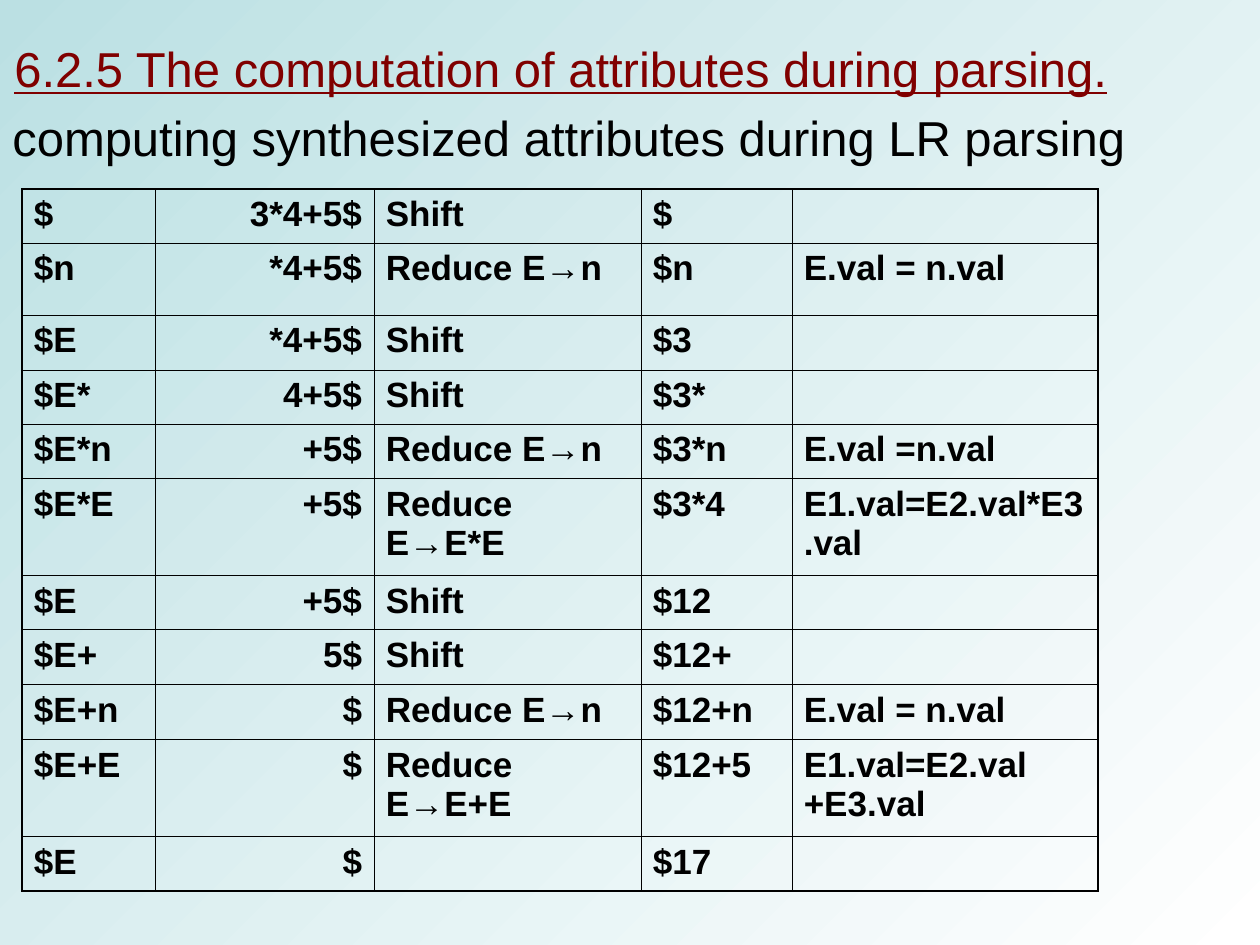
from lxml.etree import SubElement
from pptx import Presentation
from pptx.dml.color import RGBColor
from pptx.enum.text import MSO_ANCHOR, PP_ALIGN
from pptx.oxml.ns import qn
from pptx.util import Pt

SCALE = 914400 / 126
COLORS = {"sky": "BBE0E3", "white": "FFFFFF", "black": "000000", "maroon": "800000"}
HEADING_FORMAT = {"name": "Arial", "size": Pt(28)}
CELL_FORMAT = {"name": "Arial", "size": Pt(20), "bold": True}
CELL_MARGINS = {"margin_left": 12, "margin_right": 12, "margin_top": 6, "margin_bottom": 6}
THIN, THICK = Pt(0.45), Pt(1.08)
COLUMN_WIDTHS = [133, 219, 267, 151, 306]
ROW_HEIGHTS = [54, 72, 55, 54, 55, 97, 54, 55, 55, 97, 54]
PARSING_STEPS = [
    ("$", "3*4+5$", "Shift", "$", ""),
    ("$n", "*4+5$", "Reduce E→n", "$n", "E.val = n.val"),
    ("$E", "*4+5$", "Shift", "$3", ""),
    ("$E*", "4+5$", "Shift", "$3*", ""),
    ("$E*n", "+5$", "Reduce E→n", "$3*n", "E.val =n.val"),
    ("$E*E", "+5$", "Reduce E→E*E", "$3*4", "E1.val=E2.val*E3.val"),
    ("$E", "+5$", "Shift", "$12", ""),
    ("$E+", "5$", "Shift", "$12+", ""),
    ("$E+n", "$", "Reduce E→n", "$12+n", "E.val = n.val"),
    ("$E+E", "$", "Reduce E→E+E", "$12+5", "E1.val=E2.val +E3.val"),
    ("$E", "$", "", "$17", ""),
]


def px(length):
    """Turn pixels into EMU."""
    return round(length * SCALE)


def color(name):
    """Return a named colour."""
    return RGBColor.from_string(COLORS[name])


def write(paragraph, text, color_name, font_format):
    """Add one formatted run to a paragraph."""
    run = paragraph.add_run()
    run.text = text
    run.font.color.rgb = color(color_name)
    for attribute, value in font_format.items():
        setattr(run.font, attribute, value)


def paint_background(slide):
    """Fill the slide with a diagonal gradient."""
    fill = slide.background.fill
    fill.gradient()
    fill.gradient_angle = 315
    for stop, name in zip(fill.gradient_stops, ("sky", "white")):
        stop.color.rgb = color(name)


def add_heading(slide, box, text, color_name, wrap, underline):
    """Add one heading line in the given box."""
    shape = slide.shapes.add_textbox(*map(px, box))
    frame = shape.text_frame
    frame.word_wrap = wrap
    frame.vertical_anchor = MSO_ANCHOR.MIDDLE
    write(frame.paragraphs[0], text, color_name, HEADING_FORMAT | {"underline": underline})


def set_borders(cell, widths):
    """Draw the cell's left, right, top and bottom borders."""
    properties = cell._tc.get_or_add_tcPr()
    for index, (side, width) in enumerate(zip("LRTB", widths)):
        line = SubElement(properties, qn(f"a:ln{side}"), w=str(width))
        fill = SubElement(line, qn("a:solidFill"))
        SubElement(fill, qn("a:srgbClr"), val=COLORS["black"])
        properties.insert(index, line)


def fill_cell(cell, text, alignment):
    """Write one table cell on a clear ground."""
    cell.fill.background()
    for attribute, value in CELL_MARGINS.items():
        setattr(cell, attribute, px(value))
    paragraph = cell.text_frame.paragraphs[0]
    paragraph.alignment = alignment
    paragraph.space_before = Pt(5)
    if text:
        write(paragraph, text, "black", CELL_FORMAT)


def add_parsing_table(slide, left, top):
    """Add the table of parsing steps."""
    row_count, column_count = len(ROW_HEIGHTS), len(COLUMN_WIDTHS)
    box = (left, top, sum(COLUMN_WIDTHS), sum(ROW_HEIGHTS))
    table = slide.shapes.add_table(row_count, column_count, *map(px, box)).table
    table.first_row = table.horz_banding = False
    for column, width in zip(table.columns, COLUMN_WIDTHS):
        column.width = px(width)
    for row, height in zip(table.rows, ROW_HEIGHTS):
        row.height = px(height)
    for row_index, step in enumerate(PARSING_STEPS):
        for column_index, text in enumerate(step):
            cell = table.cell(row_index, column_index)
            fill_cell(cell, text, PP_ALIGN.RIGHT if column_index == 1 else PP_ALIGN.JUSTIFY)
            outer = (column_index == 0, column_index == column_count - 1,
                     row_index == 0, row_index == row_count - 1)
            set_borders(cell, [THICK if edge else THIN for edge in outer])


def main():
    """Build and save the slide."""
    presentation = Presentation()
    presentation.slide_width, presentation.slide_height = px(1260), px(945)
    slide = presentation.slides.add_slide(presentation.slide_layouts[6])
    paint_background(slide)
    add_heading(slide, (0, 95, 1197, 84), "computing synthesized attributes during LR parsing",
                "black", True, False)
    add_parsing_table(slide, 22, 189)
    add_heading(slide, (2, 32, 1119, 72), "6.2.5 The computation of attributes during parsing.",
                "maroon", False, True)
    presentation.save("out.pptx")


if __name__ == "__main__":
    main()
